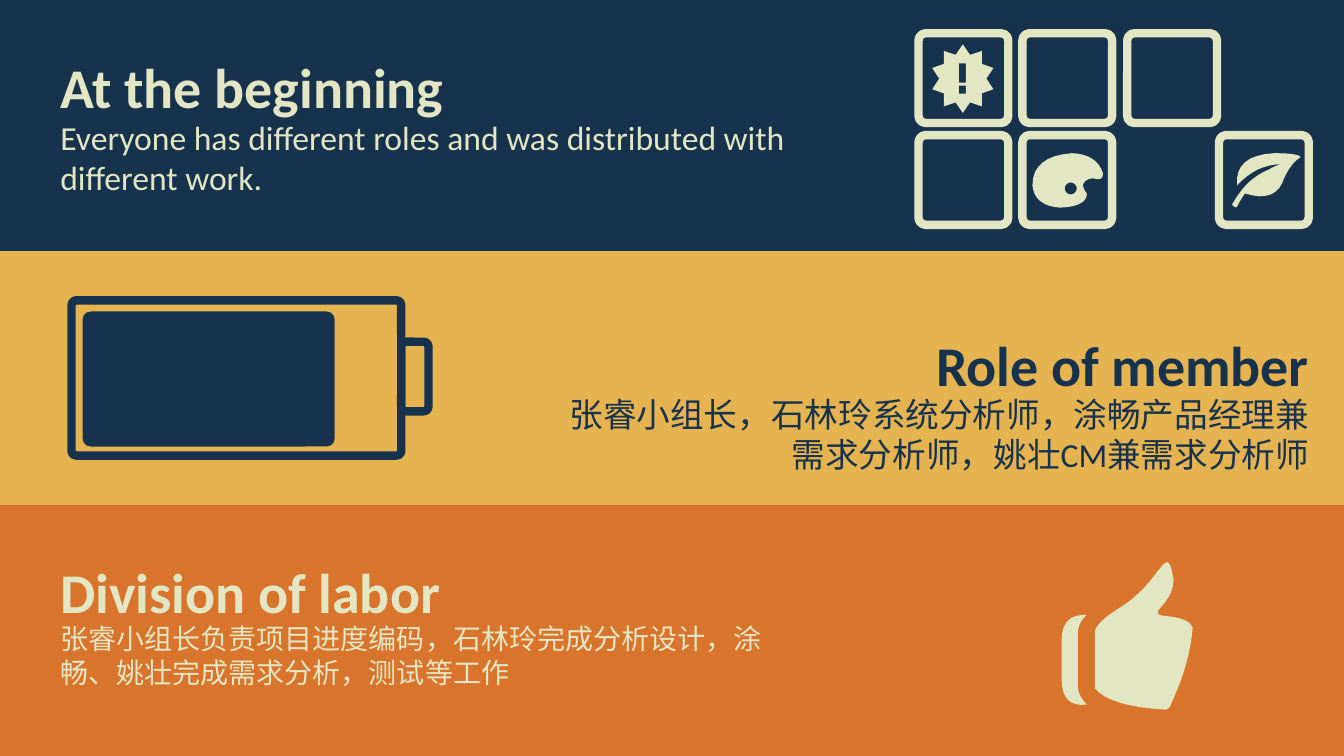
import math

import pptx
import pptx.dml.color
import pptx.enum.shapes
import pptx.enum.text
import pptx.util

Inches = pptx.util.Inches
RGBColor = pptx.dml.color.RGBColor
SHAPE = pptx.enum.shapes.MSO_SHAPE
ALIGN = pptx.enum.text.PP_ALIGN

NAVY = RGBColor(0x17, 0x32, 0x4D)
ORANGE = RGBColor(0xD9, 0x74, 0x2C)
GOLD = RGBColor(0xE5, 0xB3, 0x50)
CREAM = RGBColor(0xE2, 0xE6, 0xC3)

CURVE_STEPS = 8
UNITS_PER_INCH = 1000


def outline(start, *moves):
    points = [start]
    for *control, x, y in moves:
        if not control:
            points.append((x, y))
            continue
        (x0, y0), (cx, cy) = points[-1], control
        for step in range(1, CURVE_STEPS + 1):
            t = step / CURVE_STEPS
            a, b, c = (1 - t) ** 2, 2 * t * (1 - t), t ** 2
            points.append((a * x0 + b * cx + c * x, a * y0 + b * cy + c * y))
    return points


def ring(center, radii, count, inner=1.0):
    points = []
    for i in range(count):
        angle = 2 * math.pi * i / count
        reach = inner if i % 2 else 1.0
        points.append((center[0] + reach * radii[0] * math.sin(angle),
                       center[1] - reach * radii[1] * math.cos(angle)))
    return points


def block(left, top, right, bottom):
    return [(left, top), (left, bottom), (right, bottom), (right, top)]


def burst():
    star = ring((0.32, 0.34), (0.32, 0.34), 20, inner=0.73)
    mark_stem = block(0.28, 0.19, 0.35, 0.38)
    mark_dot = block(0.28, 0.41, 0.35, 0.49)
    return [star, mark_stem, mark_dot]


def palette():
    board = outline((0.39, 0), (0.64, 0.01, 0.7, 0.2), (0.7, 0.28, 0.61, 0.25),
                    (0.52, 0.25, 0.5, 0.32), (0.51, 0.36, 0.54, 0.4),
                    (0.54, 0.53, 0.27, 0.54), (0.02, 0.52, 0, 0.32), (0, 0.03, 0.39, 0))
    thumb_hole = ring((0.38, 0.35), (0.06, 0.06), 16)
    return [board, thumb_hole]


def leaf():
    tip, stem_top, stem_end = (0.68, 0.04), (0.13, 0.4), (0, 0.51)
    vein_end, shoulder = (0.49, 0.11), (0.05, 0.32)
    return [outline(tip, (0.59, 0.09, 0.52, 0.24), (0.44, 0.5, *stem_top),
                    (0.1, 0.43, 0.05, 0.53), (0.03, 0.55, *stem_end),
                    (0.14, 0.25, 0.37, 0.16), (0.43, 0.12, *vein_end),
                    (0.24, 0.11, *shoulder), (0.02, 0.02, 0.42, 0), (0.66, 0, *tip))]


def thumbs_up():
    cuff = outline((0.25, 0.52), (0.16, 0.6, 0.16, 0.71), (0.16, 1.22),
                   (0.16, 1.32, 0.25, 1.41), (0, 1.44, 0, 1.16), (0, 0.77),
                   (0, 0.51, 0.25, 0.52))
    thumb_tip, knuckle, palm_base = (1.04, 0), (1.3, 0.65), (0.33, 1.25)
    hand = outline(thumb_tip, (1.08, -0.02, 1.11, 0.17), (1.11, 0.31, 0.98, 0.45),
                   (0.91, 0.52, 1.02, 0.53), (1.27, 0.55, *knuckle),
                   (1.27, 1, 1.1, 1.37), (1.07, 1.46, 1.03, 1.46),
                   (0.48, 1.43, *palm_base), (0.33, 0.69), (0.33, 0.6, 0.62, 0.42),
                   (0.79, 0.31, 0.95, 0.09), (1.02, 0, *thumb_tip))
    return [cuff, hand]


class Deck:
    """Holds the style and the current slide, and draws each kind of element."""

    heading = {"name": "Calibri", "size": pptx.util.Pt(40), "bold": True}
    body = {"name": "Calibri", "size": pptx.util.Pt(24)}
    small_body = {"name": "Calibri", "size": pptx.util.Pt(20)}
    stroke = pptx.util.Pt(6)

    def __init__(self, prs):
        self.slide = prs.slides.add_slide(prs.slide_layouts[6])
        self.shapes = self.slide.shapes
        fill = self.slide.background.fill
        fill.solid()
        fill.fore_color.rgb = CREAM

    def start_group(self):
        self.shapes = self.slide.shapes.add_group_shape().shapes

    def paint(self, sp, color):
        sp.shadow.inherit = False
        sp.fill.solid()
        sp.fill.fore_color.rgb = color
        sp.line.fill.background()

    def band(self, top, height, color):
        sp = self.shapes.add_shape(
            SHAPE.RECTANGLE, 0, Inches(top), Inches(13.33), Inches(height))
        self.paint(sp, color)

    def rounded(self, box, radius, color, outlined=True):
        sp = self.shapes.add_shape(SHAPE.ROUNDED_RECTANGLE, *map(Inches, box))
        sp.adjustments[0] = radius
        self.paint(sp, color)
        if outlined:
            sp.fill.background()
            sp.line.color.rgb = color
            sp.line.width = self.stroke

    def icon(self, left, top, contours, color):
        placed = [[((left + x) * UNITS_PER_INCH, (top + y) * UNITS_PER_INCH)
                   for x, y in contour] for contour in contours]
        builder = self.shapes.build_freeform(
            *placed[0][0], scale=Inches(1) / UNITS_PER_INCH)
        for i, (start, *rest) in enumerate(placed):
            if i:
                builder.move_to(*start)
            builder.add_line_segments(rest, close=True)
        self.paint(builder.convert_to_shape(), color)

    def text(self, box, words, style, color, align=ALIGN.LEFT):
        tf = self.shapes.add_textbox(*map(Inches, box)).text_frame
        tf.word_wrap = True
        tf.auto_size = pptx.enum.text.MSO_AUTO_SIZE.SHAPE_TO_FIT_TEXT
        p = tf.paragraphs[0]
        p.alignment = align
        r = p.add_run()
        r.text = words
        for key, value in style.items():
            setattr(r.font, key, value)
        r.font.color.rgb = color


def draw_roles(deck):
    deck.start_group()
    deck.text((8.46, 3.23, 4.62, 0.77), "Role of member", deck.heading, NAVY, ALIGN.RIGHT)
    deck.text((5.24, 3.86, 7.84, 0.91),
              "张睿小组长，石林玲系统分析师，涂畅产品经理兼需求分析师，姚壮CM兼需求分析师",
              deck.body, NAVY, ALIGN.RIGHT)
    battery_case, battery_cap = (0.71, 2.98, 3.27, 1.54), (3.98, 3.39, 0.27, 0.69)
    battery_charge = (0.82, 3.09, 2.5, 1.34)
    deck.rounded(battery_case, 0.03, NAVY)
    deck.rounded(battery_cap, 0.17, NAVY)
    deck.rounded(battery_charge, 0.06, NAVY, outlined=False)


def draw_beginning(deck):
    deck.start_group()
    deck.text((0.5, 0.47, 5.42, 0.77), "At the beginning", deck.heading, CREAM)
    deck.text((0.5, 1.11, 7.42, 0.91),
              "Everyone has different roles and was distributed with different work.",
              deck.body, CREAM)
    tile_size = 0.89
    for top, lefts in ((0.33, (9.11, 10.14, 11.18)), (1.34, (9.11, 10.14, 12.09))):
        for left in lefts:
            deck.rounded((left, top, tile_size, tile_size), 0.08, CREAM)
    for left, top, contours in ((12.22, 1.52, leaf()), (9.23, 0.44, burst()),
                                (10.24, 1.52, palette())):
        deck.icon(left, top, contours, CREAM)


def draw_labor(deck):
    deck.start_group()
    deck.icon(10.53, 5.58, thumbs_up(), CREAM)
    deck.text((0.5, 5.48, 5.42, 0.77), "Division of labor", deck.heading, CREAM)
    deck.text((0.5, 6.12, 7.42, 0.77),
              "张睿小组长负责项目进度编码，石林玲完成分析设计，涂畅、姚壮完成需求分析，测试等工作",
              deck.small_body, CREAM)


def main():
    prs = pptx.Presentation()
    prs.slide_width, prs.slide_height = Inches(13.33), Inches(7.5)
    deck = Deck(prs)
    for top, height, color in ((0, 2.49, NAVY), (5.01, 2.49, ORANGE), (2.49, 2.52, GOLD)):
        deck.band(top, height, color)
    for draw in (draw_roles, draw_beginning, draw_labor):
        draw(deck)
    prs.save("out.pptx")


if __name__ == "__main__":
    main()
